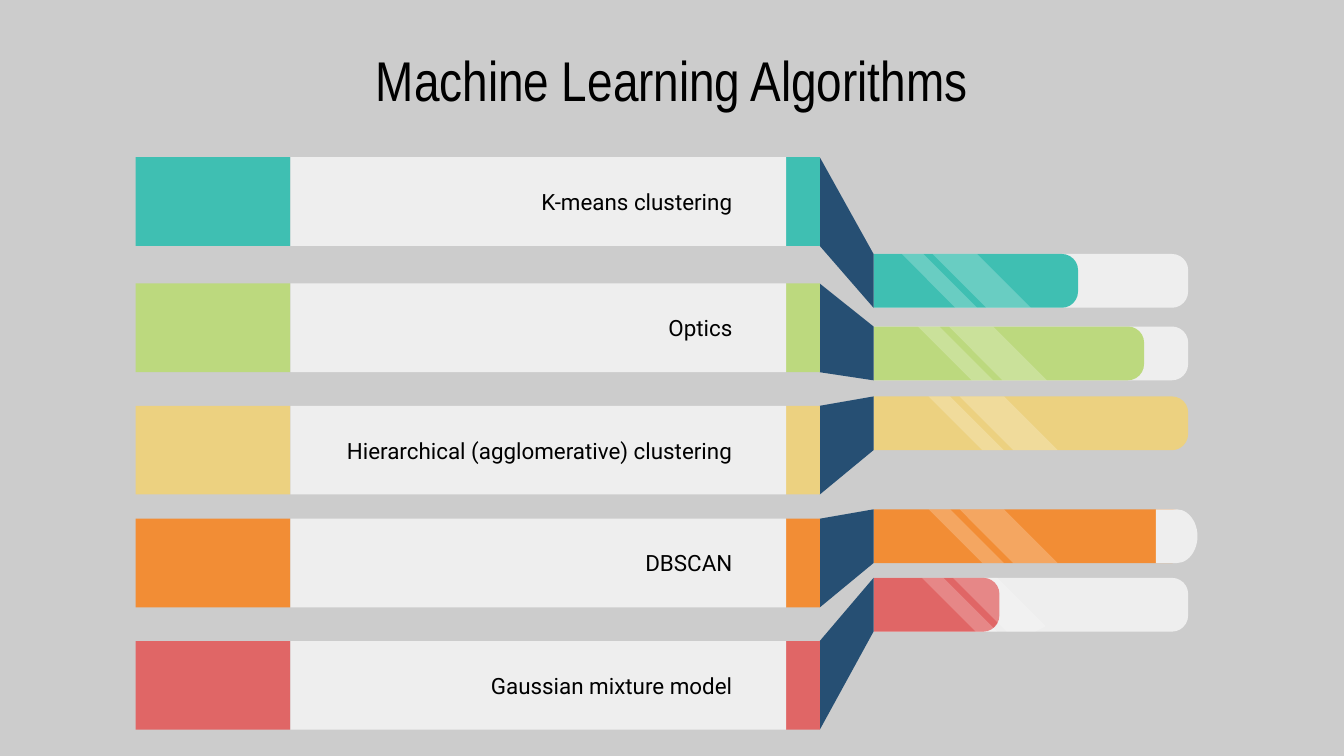
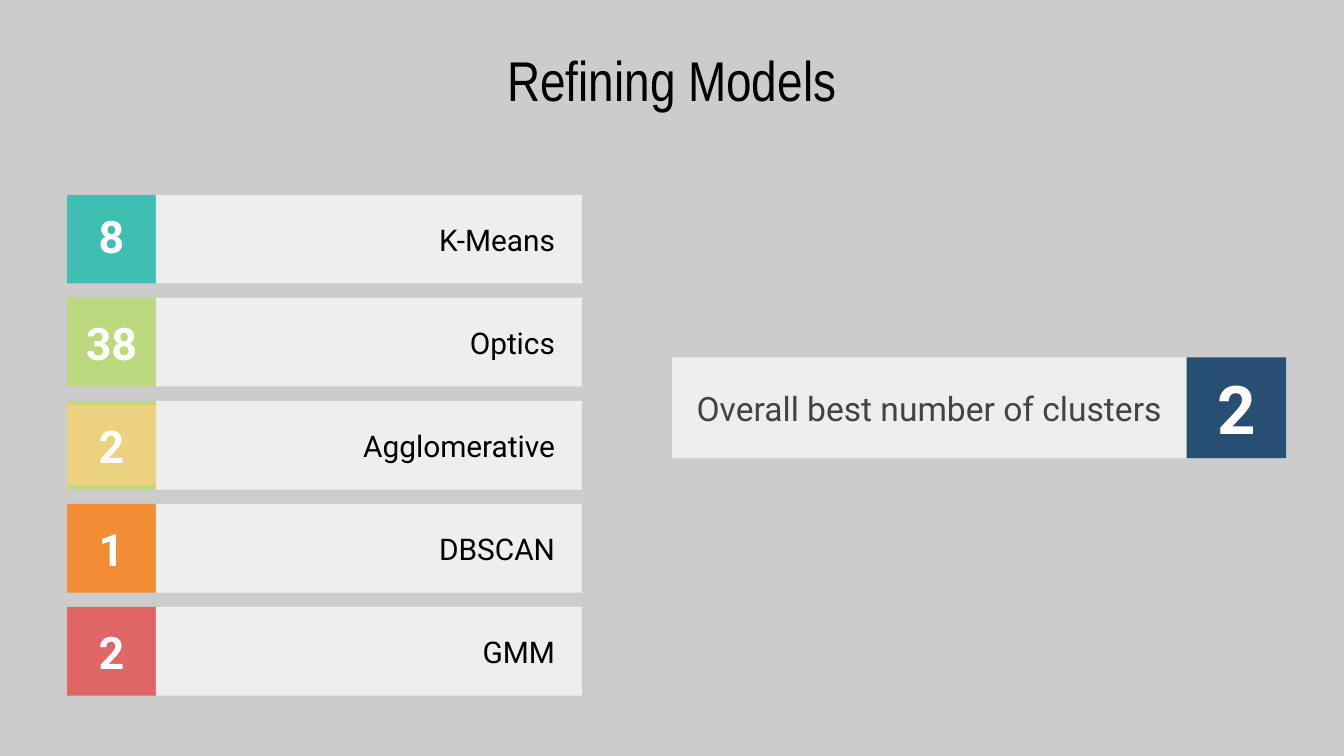
from lxml import etree
from pptx import Presentation
from pptx.dml.color import RGBColor
from pptx.enum import shapes, text
from pptx.oxml import ns
from pptx.util import Inches, Pt

TEAL = RGBColor(0x3F, 0xBF, 0xB2)
GREEN = RGBColor(0xBC, 0xD9, 0x7E)
YELLOW = RGBColor(0xEC, 0xD1, 0x80)
ORANGE = RGBColor(0xF2, 0x8D, 0x35)
RED = RGBColor(0xE0, 0x66, 0x66)
NAVY = RGBColor(0x26, 0x4F, 0x73)
PALE = RGBColor(0xEE, 0xEE, 0xEE)
GREY = RGBColor(0xCC, 0xCC, 0xCC)
DARK = RGBColor(0x43, 0x43, 0x43)
WHITE = RGBColor(0xFF, 0xFF, 0xFF)
BLACK = RGBColor(0, 0, 0)

TITLE_FONT, BODY_FONT = "Arial Narrow", "Roboto"
RECTANGLE = shapes.MSO_SHAPE.RECTANGLE
CENTER, RIGHT = text.PP_ALIGN.CENTER, text.PP_ALIGN.RIGHT
TOP, MIDDLE = text.MSO_ANCHOR.TOP, text.MSO_ANCHOR.MIDDLE

ALGORITHMS = [
    ("K-means clustering", TEAL, 1.17, 1.89, 0.65, 6.71, 0),
    ("Optics", GREEN, 2.11, 2.43, 0.86, 6.83, 0),
    ("Hierarchical (agglomerative) clustering", YELLOW, 3.02, 2.95, 1, 6.91, 0),
    ("DBSCAN", ORANGE, 3.86, 3.79, 1, 6.91, 0),
    ("Gaussian mixture model", RED, 4.77, 4.3, 0.4, 6.86, 0.04),
]
MODELS = [
    ("8", "K-Means", TEAL, TOP, 0),
    ("38", "Optics", GREEN, MIDDLE, 0),
    ("2", "Agglomerative", YELLOW, TOP, 0.03),
    ("1", "DBSCAN", ORANGE, MIDDLE, 0),
    ("2", "GMM", RED, MIDDLE, 0),
]
CONCLUSION = ("Overall best number of clusters", "2")

SLIDE_WIDTH = Inches(10)
SLIDE_HEIGHT = SLIDE_WIDTH * 9 // 16
ROW_HEIGHT = 0.66
BLOCK_LEFT, LABEL_LEFT, TAB_LEFT, TAB_RIGHT = 1.01, 2.16, 5.85, 6.1
BAR_LEFT, BAR_LENGTH, BAR_HEIGHT = 6.5, 2.34, 0.4
STRIPES = [(0.23, 0.33), (0, 0.16)]
MODEL_LEFT, MODEL_TOP, MODEL_PITCH, LABEL_WIDTH = 0.5, 1.45, 2.3 / 3, 3.17


def paint(shape, color):
    shape.shadow.inherit = False
    shape.fill.solid()
    shape.fill.fore_color.rgb = color
    shape.line.fill.background()
    return shape


def add_box(parent, left, top, width, height, color, kind=RECTANGLE):
    return paint(parent.add_shape(kind, *map(Inches, (left, top, width, height))), color)


def add_polygon(parent, points, color):
    corners = [(Inches(x), Inches(y)) for x, y in points]
    builder = parent.build_freeform(*corners[0])
    builder.add_line_segments(corners[1:], close=True)
    return paint(builder.convert_to_shape(), color)


def write(shape, words, size, color, align=CENTER, font=BODY_FONT, bold=False,
          side=0.1, anchor=MIDDLE):
    frame = shape.text_frame
    frame.text = words
    frame.word_wrap = True
    frame.auto_size = text.MSO_AUTO_SIZE.NONE
    frame.vertical_anchor = anchor
    frame.margin_left = frame.margin_right = Inches(side)
    frame.margin_top = frame.margin_bottom = Inches(0.1)
    paragraph = frame.paragraphs[0]
    paragraph.alignment = align
    style = paragraph.runs[0].font
    style.name, style.size, style.bold = font, Pt(size), bold
    style.color.rgb = color


def add_slide(presentation, heading):
    slide = presentation.slides.add_slide(presentation.slide_layouts[5])
    title = slide.shapes.title
    title.left, title.top, title.width, title.height = map(Inches, (1.4, 0.32, 7.2, 0.53))
    write(title, heading, 30, BLACK, font=TITLE_FONT)
    return slide


def add_bar(parent, top, share, color):
    length = BAR_LENGTH * share
    bar = add_box(parent, BAR_LEFT + (length - BAR_HEIGHT) / 2, top + (BAR_HEIGHT - length) / 2,
                  BAR_HEIGHT, length, color, shapes.MSO_SHAPE.ROUND_2_SAME_RECTANGLE)
    bar.rotation = 90
    bar.adjustments[0] = 0.3


def add_stripe(parent, left, top, width, cut):
    bottom, right = top + BAR_HEIGHT, left + width + BAR_HEIGHT
    points = [(left, top), (left + width, top), (right - cut, bottom - cut)]
    if cut:
        points.append((right - 3 * cut, bottom))
    points.append((left + BAR_HEIGHT, bottom))
    stripe = add_polygon(parent, points, WHITE)
    color = stripe.element.spPr.find(ns.qn("a:solidFill"))[0]
    etree.SubElement(color, ns.qn("a:alpha")).set("val", "22000")


def add_algorithm(parent, name, color, top, bar_top, share, stripes_left, cut):
    if share < 1:
        add_bar(parent, bar_top, 1, PALE)
    add_bar(parent, bar_top, share, color)
    for offset, width in STRIPES:
        add_stripe(parent, stripes_left + offset, bar_top, width, cut if offset else 0)
    add_polygon(parent, [(BAR_LEFT, bar_top), (TAB_RIGHT, top), (TAB_RIGHT, top + ROW_HEIGHT),
                         (BAR_LEFT, bar_top + BAR_HEIGHT)], NAVY)
    add_box(parent, TAB_LEFT, top, TAB_RIGHT - TAB_LEFT, ROW_HEIGHT, color)
    label = add_box(parent, LABEL_LEFT, top, TAB_LEFT - LABEL_LEFT, ROW_HEIGHT, PALE)
    write(label, name, 12, BLACK, RIGHT, side=0.4)
    add_box(parent, BLOCK_LEFT, top, LABEL_LEFT - BLOCK_LEFT, ROW_HEIGHT, color)


def build_algorithms(presentation):
    slide = add_slide(presentation, "Machine Learning Algorithms")
    for algorithm in ALGORITHMS:
        add_algorithm(slide.shapes.add_group_shape().shapes, *algorithm)
    add_box(slide.shapes, 8.6, 3.79, 0.31, BAR_HEIGHT, PALE,
            shapes.MSO_SHAPE.FLOWCHART_DELAY)


def build_models(presentation):
    parent = add_slide(presentation, "Refining Models").shapes
    for row, (number, name, color, anchor, inset) in enumerate(MODELS):
        top = MODEL_TOP + row * MODEL_PITCH
        if inset:
            add_box(parent, MODEL_LEFT, top, ROW_HEIGHT, ROW_HEIGHT, GREEN)
        tile = add_box(parent, MODEL_LEFT, top + inset, ROW_HEIGHT, ROW_HEIGHT - 2 * inset, color)
        write(tile, number, 24, WHITE, bold=True, anchor=anchor)
        label = add_box(parent, MODEL_LEFT + ROW_HEIGHT, top, LABEL_WIDTH, ROW_HEIGHT, PALE)
        write(label, name, 16, BLACK, RIGHT, side=0.2)
    words, number = CONCLUSION
    write(add_box(parent, 5, 2.66, 3.83, 0.75, PALE), words, 18, DARK)
    write(add_box(parent, 8.83, 2.66, 0.74, 0.75, NAVY), number, 36, WHITE, bold=True)


def main():
    presentation = Presentation()
    presentation.slide_width, presentation.slide_height = SLIDE_WIDTH, SLIDE_HEIGHT
    background = presentation.slide_master.background.fill
    background.solid()
    background.fore_color.rgb = GREY
    build_algorithms(presentation)
    build_models(presentation)
    presentation.save("out.pptx")


if __name__ == "__main__":
    main()
